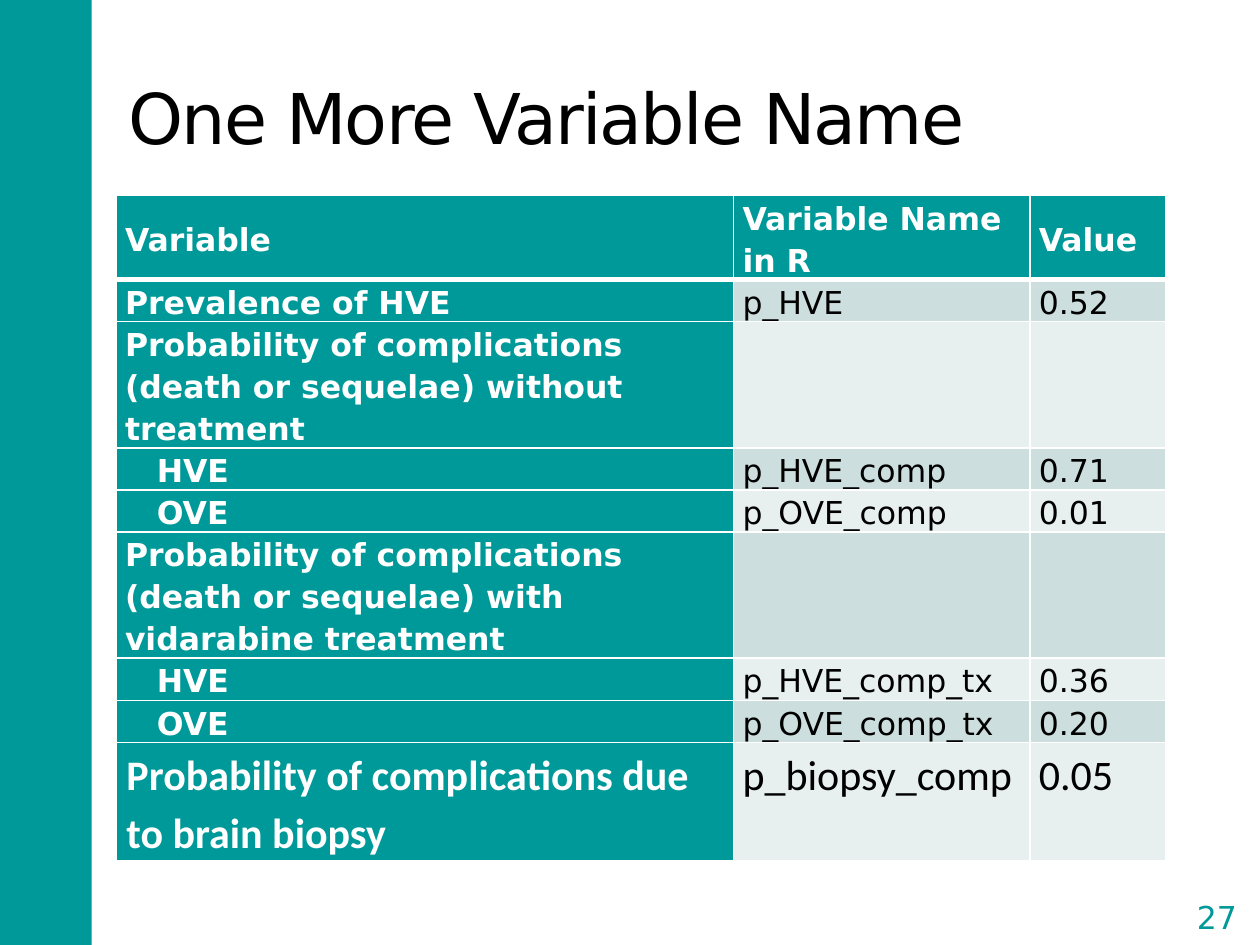
from lxml import etree
from pptx import Presentation
from pptx import util as u
from pptx.dml.color import RGBColor
from pptx.enum import shapes, text
from pptx.oxml.ns import qn

TEAL = RGBColor(0x00, 0x99, 0x99)
WHITE = RGBColor(0xFF, 0xFF, 0xFF)
BLACK = RGBColor(0x00, 0x00, 0x00)
BANDS = RGBColor(0xE7, 0xEF, 0xEF), RGBColor(0xCC, 0xDE, 0xDE)
SANS = "DejaVu Sans"

# Label, name in R, value, height in cm, left indent in cm
ROWS = [
    ("Variable", "Variable Name in R", "Value", 1.68, 0),
    ("Prevalence of HVE", "p_HVE", "0.52", 0.85, 0),
    ("Probability of complications (death or sequelae) without treatment",
     "", "", 2.54, 0),
    ("HVE", "p_HVE_comp", "0.71", 0.85, 0.64),
    ("OVE", "p_OVE_comp", "0.01", 0.85, 0.64),
    ("Probability of complications (death or sequelae) with vidarabine "
     "treatment", "", "", 2.54, 0),
    ("HVE", "p_HVE_comp_tx", "0.36", 0.85, 0.64),
    ("OVE", "p_OVE_comp_tx", "0.20", 0.85, 0.64),
    ("Probability of complications due to brain biopsy",
     "p_biopsy_comp", "0.05", 2.36, 0.03),
]
WIDTHS = 12.45, 5.97, 2.74


def apply(item, **vals):
    for key, val in vals.items():
        setattr(item, key, val)


def style(para, size, color, name=SANS, bold=False):
    for run in para.runs:
        apply(run.font, size=u.Pt(size), name=name, bold=bold)
        run.font.color.rgb = color


def border(cell, top, low):
    """Draw white edges; they must come before the fill."""
    props = cell._tc.get_or_add_tcPr()
    for side, width in zip("LRTB", (1, 1, top, low)):
        line = etree.SubElement(props, qn("a:ln" + side), w=str(u.Pt(width)))
        fill = etree.SubElement(line, qn("a:solidFill"))
        etree.SubElement(fill, qn("a:srgbClr"), val=str(WHITE))


def add_box(slide, kind, *place):
    box = slide.shapes.add_shape(kind, *map(u.Cm, place))
    box.shadow.inherit = False
    return box


def add_title(slide, words):
    title = slide.shapes.title
    apply(title, left=u.Cm(2.34), top=u.Cm(0.76),
          width=u.Cm(21.16), height=u.Cm(3.18))
    frame = title.text_frame
    frame.text = words
    apply(frame, vertical_anchor=text.MSO_ANCHOR.MIDDLE, word_wrap=True,
          auto_size=text.MSO_AUTO_SIZE.NONE)
    para = frame.paragraphs[0]
    para.alignment = text.PP_ALIGN.LEFT
    style(para, 40, BLACK)
    para.runs[0].font._element.set("spc", "-100")


def add_number(slide, words):
    box = add_box(slide, shapes.MSO_SHAPE.DOUBLE_BRACKET,
                  23.77, 17.93, 1.52, 1.09)
    box.adjustments[0] = 0.18
    box.fill.background()
    box.line.color.rgb = WHITE
    box.line.width = u.Pt(1.5)
    frame = box.text_frame
    frame.text = words
    apply(frame, margin_left=0, margin_right=0, margin_top=0,
          margin_bottom=0, vertical_anchor=text.MSO_ANCHOR.MIDDLE)
    frame.paragraphs[0].alignment = text.PP_ALIGN.CENTER
    style(frame.paragraphs[0], 18, TEAL)


def fill_cell(cell, words, row, col, indent):
    head, last = row == 0, row == len(ROWS) - 1
    strong = head or col == 0
    border(cell, 3 if row == 1 else 1, 3 if head else 1)
    cell.fill.solid()
    cell.fill.fore_color.rgb = TEAL if strong else BANDS[row % 2]
    middle = head or (row == 1 and col == 0)
    apply(cell, margin_left=u.Cm(0.18), margin_right=u.Cm(0.18),
          margin_top=0, margin_bottom=0,
          vertical_anchor=text.MSO_ANCHOR.MIDDLE if middle
          else text.MSO_ANCHOR.TOP)
    if not words:
        return
    cell.text = words
    para = cell.text_frame.paragraphs[0]
    para.line_spacing = 1.15
    if col == 0 and indent:
        props = para._p.get_or_add_pPr()
        props.set("marL", str(u.Cm(indent)))
        props.set("indent", "0")
    size, name = (24, "Calibri") if last else (18, SANS)
    style(para, size, WHITE if strong else BLACK, name, strong)


def add_grid(slide):
    total = sum(row[3] for row in ROWS)
    place = map(u.Cm, (2.34, 3.94, sum(WIDTHS), total))
    grid = slide.shapes.add_table(len(ROWS), len(WIDTHS), *place).table
    for col, width in zip(grid.columns, WIDTHS):
        col.width = u.Cm(width)
    for i, (*words, height, indent) in enumerate(ROWS):
        grid.rows[i].height = u.Cm(height)
        for j, word in enumerate(words):
            fill_cell(grid.cell(i, j), word, i, j, indent)


def main():
    deck = Presentation()
    apply(deck, slide_width=u.Cm(25.4), slide_height=u.Cm(19.05))
    slide = deck.slides.add_slide(deck.slide_layouts[5])
    # Side bar
    bar = add_box(slide, shapes.MSO_SHAPE.RECTANGLE, 0, 0, 1.85, 19.05)
    bar.fill.solid()
    bar.fill.fore_color.rgb = TEAL
    bar.line.fill.background()
    # Content
    add_title(slide, "One More Variable Name")
    add_number(slide, "27")
    add_grid(slide)
    deck.save("out.pptx")


if __name__ == "__main__":
    main()
